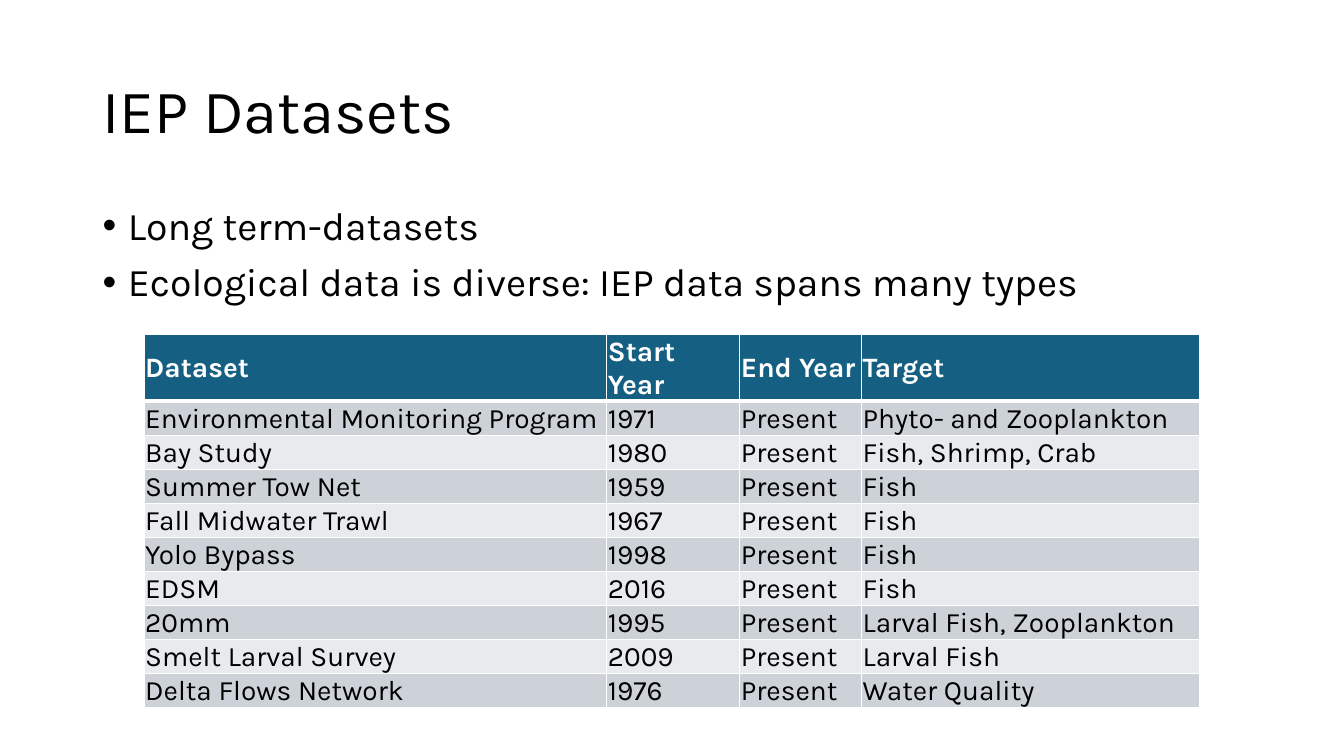
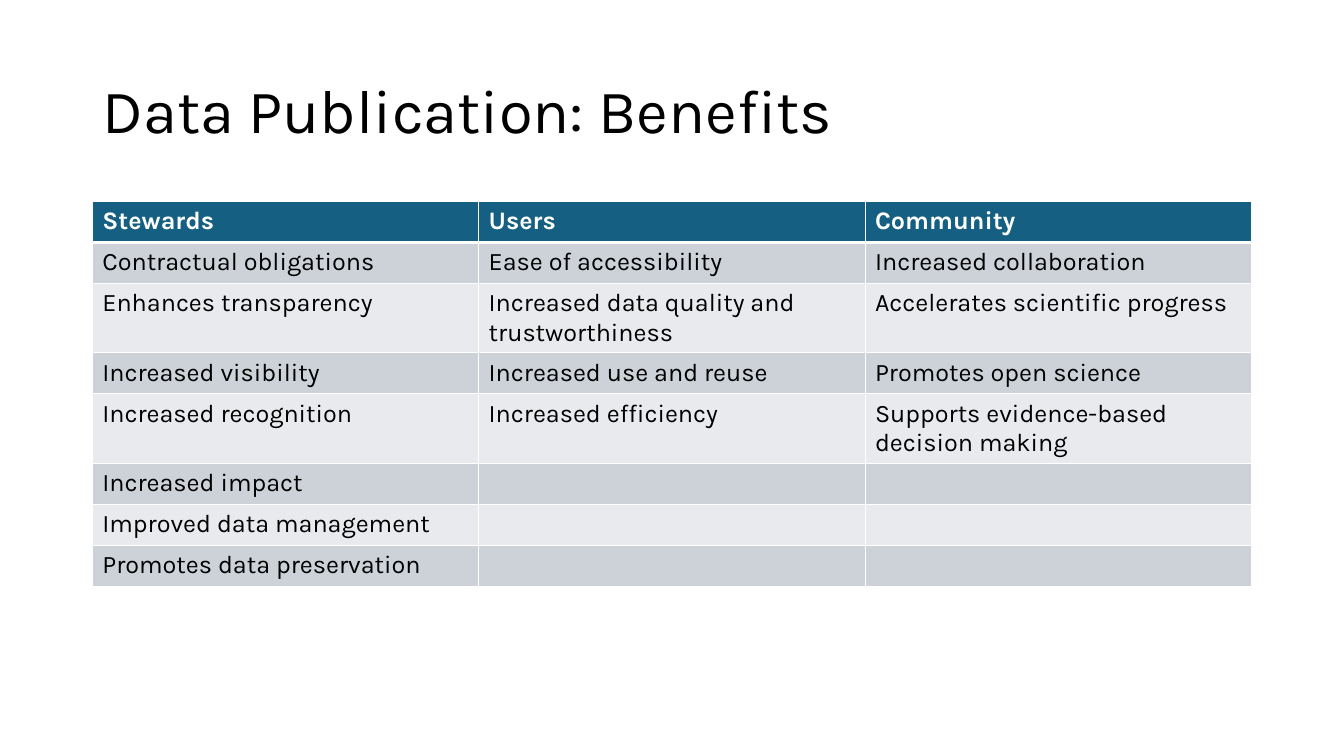
from dataclasses import dataclass

from lxml import etree
from pptx import Presentation
from pptx.dml.color import RGBColor
from pptx.enum.text import MSO_ANCHOR, MSO_AUTO_SIZE, PP_ALIGN
from pptx.oxml.ns import qn
from pptx.util import Cm, Pt

LEFT = PP_ALIGN.LEFT
TOP, MIDDLE = MSO_ANCHOR.TOP, MSO_ANCHOR.MIDDLE
NO_FIT = MSO_AUTO_SIZE.NONE

FONT = "Karla"
BLACK, WHITE = "000000", "FFFFFF"
HEADER, BANDS = "156082", ("CCD2D8", "E8EAED")
CONTENT_LEFT, CONTENT_TOP, CONTENT_WIDTH = 2.33, 5.08, 29.21
TITLE_LAYOUT, BODY_LAYOUT = 5, 1


@dataclass(frozen=True)
class TableDesign:
    """Places and sizes in cm, text size in points."""
    left: float
    top: float
    widths: tuple[float, ...]
    row_height: float
    size: int
    margins: tuple[float, float, float, float]  # left, top, right, bottom
    anchor: MSO_ANCHOR


DATASET_TABLE = TableDesign(3.63, 8.43, (11.66, 3.35, 3.07, 8.53), 0.61, 20,
                            (0.03, 0.03, 0.03, 0), MIDDLE)
BENEFIT_TABLE = TableDesign(CONTENT_LEFT, CONTENT_TOP, (CONTENT_WIDTH / 3,) * 3,
                            1.03, 18, (0.25, 0.13, 0.25, 0.13), TOP)

BULLETS = ["Long term-datasets",
           "Ecological data is diverse: IEP data spans many types"]

DATASETS = [
    ("Dataset", "Start Year", "End Year", "Target"),
    ("Environmental Monitoring Program", "1971", "Present", "Phyto- and Zooplankton"),
    ("Bay Study", "1980", "Present", "Fish, Shrimp, Crab"),
    ("Summer Tow Net", "1959", "Present", "Fish"),
    ("Fall Midwater Trawl", "1967", "Present", "Fish"),
    ("Yolo Bypass", "1998", "Present", "Fish"),
    ("EDSM", "2016", "Present", "Fish"),
    ("20mm", "1995", "Present", "Larval Fish, Zooplankton"),
    ("Smelt Larval Survey", "2009", "Present", "Larval Fish"),
    ("Delta Flows Network", "1976", "Present", "Water Quality"),
]

BENEFITS = [
    ("Stewards", "Users", "Community"),
    ("Contractual obligations", "Ease of accessibility", "Increased collaboration"),
    ("Enhances transparency", "Increased data quality and trustworthiness",
     "Accelerates scientific progress"),
    ("Increased visibility", "Increased use and reuse", "Promotes open science"),
    ("Increased recognition", "Increased efficiency",
     "Supports evidence-based decision making"),
    ("Increased impact", "", ""),
    ("Improved data management", "", ""),
    ("Promotes data preservation", "", ""),
]


def rgb(color: str) -> RGBColor:
    return RGBColor.from_string(color)


def style_font(font, size: int, color: str = BLACK, bold: bool = False) -> None:
    font.name, font.size, font.bold = FONT, Pt(size), bold
    font.color.rgb = rgb(color)


def place(sp, left: float, top: float, width: float, height: float) -> None:
    sp.left, sp.top, sp.width, sp.height = map(Cm, (left, top, width, height))


def add_titled_slide(prs, layout: int, title: str):
    s = prs.slides.add_slide(prs.slide_layouts[layout])
    s.background.fill.solid()
    s.background.fill.fore_color.rgb = rgb(WHITE)
    sp = s.shapes.title
    place(sp, CONTENT_LEFT, 1.01, CONTENT_WIDTH, 3.68)
    tf = sp.text_frame
    tf.text = title
    tf.auto_size, tf.vertical_anchor = NO_FIT, MIDDLE
    p = tf.paragraphs[0]
    p.alignment, p.line_spacing = LEFT, 0.9
    style_font(p.runs[0].font, 44)
    return s


def add_bullet(p) -> None:
    pPr = p._p.get_or_add_pPr()
    pPr.set("marL", str(Cm(0.64)))
    pPr.set("indent", str(Cm(-0.64)))
    etree.SubElement(pPr, qn("a:buFont"), typeface="Arial")
    etree.SubElement(pPr, qn("a:buChar"), char="•")


def fill_body(sp, lines: list[str]) -> None:
    place(sp, CONTENT_LEFT, CONTENT_TOP, CONTENT_WIDTH, 12.09)
    tf = sp.text_frame
    tf.text = "\n".join(lines)
    tf.auto_size = NO_FIT
    for i, p in enumerate(tf.paragraphs):
        add_bullet(p)
        p.line_spacing, p.space_before = 0.9, Pt(10 if i else 0)
        style_font(p.runs[0].font, 28)


def add_borders(cell, top: int, bottom: int) -> None:
    tcPr = cell._tc.get_or_add_tcPr()
    for side, width in (("L", 1), ("R", 1), ("T", top), ("B", bottom)):
        ln = etree.SubElement(tcPr, qn(f"a:ln{side}"), w=str(Pt(width)))
        fill = etree.SubElement(ln, qn("a:solidFill"))
        etree.SubElement(fill, qn("a:srgbClr"), val=WHITE)


def style_cell(cell, text: str, row: int, design: TableDesign) -> None:
    is_header = row == 0
    # A thick rule separates the header from the first data row
    add_borders(cell, 3 if row == 1 else 1, 3 if is_header else 1)
    cell.fill.solid()
    cell.fill.fore_color.rgb = rgb(HEADER if is_header else BANDS[(row - 1) % 2])
    (cell.margin_left, cell.margin_top,
     cell.margin_right, cell.margin_bottom) = map(Cm, design.margins)
    cell.vertical_anchor = design.anchor
    cell.text_frame.text = text
    for r in cell.text_frame.paragraphs[0].runs:
        style_font(r.font, design.size, WHITE if is_header else BLACK, is_header)


def add_data_table(s, rows: list[tuple[str, ...]], design: TableDesign) -> None:
    table = s.shapes.add_table(
        len(rows), len(design.widths), Cm(design.left), Cm(design.top),
        Cm(sum(design.widths)), Cm(design.row_height * len(rows))).table
    table.horz_banding = False
    for column, width in zip(table.columns, design.widths):
        column.width = Cm(width)
    for i, texts in enumerate(rows):
        table.rows[i].height = Cm(design.row_height)
        for j, text in enumerate(texts):
            style_cell(table.cell(i, j), text, i, design)


def main() -> None:
    prs = Presentation()
    prs.slide_width, prs.slide_height = Cm(33.87), Cm(19.05)

    # Datasets
    s = add_titled_slide(prs, BODY_LAYOUT, "IEP Datasets")
    fill_body(s.placeholders[1], BULLETS)
    add_data_table(s, DATASETS, DATASET_TABLE)

    # Benefits
    s = add_titled_slide(prs, TITLE_LAYOUT, "Data Publication: Benefits")
    add_data_table(s, BENEFITS, BENEFIT_TABLE)

    prs.save("out.pptx")


if __name__ == "__main__":
    main()
